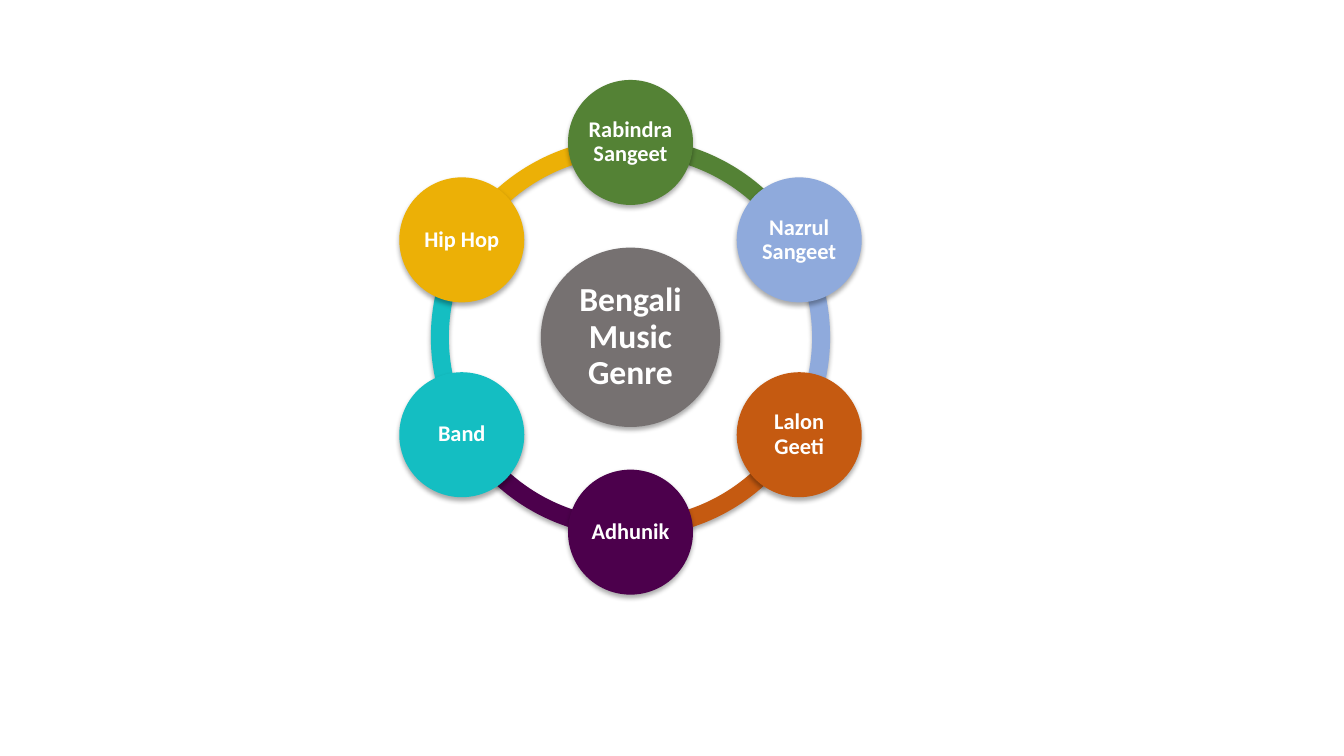
import math
from dataclasses import dataclass

import lxml.etree
import pptx
import pptx.dml.color
import pptx.enum.shapes
import pptx.enum.text
import pptx.oxml
import pptx.oxml.ns
import pptx.util
from pptx.util import Cm

RGBColor = pptx.dml.color.RGBColor
MSO_SHAPE = pptx.enum.shapes.MSO_SHAPE

WHITE = RGBColor(0xFF, 0xFF, 0xFF)
GRAY = RGBColor(0x76, 0x71, 0x71)
GREEN = RGBColor(0x54, 0x82, 0x35)
BLUE = RGBColor(0x8F, 0xAA, 0xDC)
ORANGE = RGBColor(0xC5, 0x5A, 0x11)
PURPLE = RGBColor(0x4C, 0x00, 0x4C)
TEAL = RGBColor(0x14, 0xBE, 0xC2)
YELLOW = RGBColor(0xEC, 0xB0, 0x06)

# Lengths in centimetres
CENTER_X, CENTER_Y = 15.89, 8.5
ORBIT = 4.91
RING_SIZE = 10.06
HUB_SIZE = 4.52
NODE_SIZE = 3.15

SHADOW = (
    f'<a:outerShdw {pptx.oxml.ns.nsdecls("a")} blurRad="44450" dist="27940" '
    'dir="5400000" algn="ctr" rotWithShape="0">'
    '<a:srgbClr val="000000"><a:alpha val="32000"/></a:srgbClr></a:outerShdw>'
)


@dataclass
class Genre:
    name: str
    color: RGBColor


GENRES = [  # clockwise from the top
    Genre("Rabindra Sangeet", GREEN),
    Genre("Nazrul Sangeet", BLUE),
    Genre("Lalon Geeti", ORANGE),
    Genre("Adhunik", PURPLE),
    Genre("Band", TEAL),
    Genre("Hip Hop", YELLOW),
]
STEP = 360 / len(GENRES)


def add_round(slide, kind, x: float, y: float, size: float, color: RGBColor):
    """Add a shadowed square-framed shape centred on x, y."""
    sp = slide.shapes.add_shape(
        kind, Cm(x - size / 2), Cm(y - size / 2), Cm(size), Cm(size))
    sp.fill.solid()
    sp.fill.fore_color.rgb = color
    sp.line.fill.background()
    sp.shadow.inherit = False
    effects = sp._element.spPr.find(pptx.oxml.ns.qn("a:effectLst"))
    effects.append(lxml.etree.fromstring(SHADOW))
    return sp


def add_arc(slide, start: float, color: RGBColor) -> None:
    """Add one ring segment; angles run clockwise from the right."""
    sp = add_round(slide, MSO_SHAPE.BLOCK_ARC, CENTER_X, CENTER_Y, RING_SIZE, color)
    # Adjustment angles are 60000ths of a degree, scaled by 100000
    sp.adjustments[0] = start % 360 * 0.6
    sp.adjustments[1] = (start + STEP) % 360 * 0.6
    sp.adjustments[2] = 0.045


def add_circle(slide, x: float, y: float, size: float, color: RGBColor,
               text: str, pt: int, inset: float) -> None:
    """Add a circle with a centred bold label."""
    sp = add_round(slide, MSO_SHAPE.OVAL, x, y, size, color)
    tf = sp.text_frame
    frame_format = {
        "word_wrap": True,
        "vertical_anchor": pptx.enum.text.MSO_ANCHOR.MIDDLE,
        **{f"margin_{side}": Cm(inset) for side in ("left", "top", "right", "bottom")},
    }
    p = tf.paragraphs[0]
    r = p.add_run()
    r.text = text
    r.font.color.rgb = WHITE
    formats = [
        (tf, frame_format),
        (p, {"alignment": pptx.enum.text.PP_ALIGN.CENTER, "line_spacing": 0.9}),
        (r.font, {"name": "Calibri", "size": pptx.util.Pt(pt), "bold": True}),
    ]
    for target, values in formats:
        for name, value in values.items():
            setattr(target, name, value)


prs = pptx.Presentation()
prs.slide_width, prs.slide_height = Cm(33.87), Cm(19.05)
slide = prs.slides.add_slide(prs.slide_layouts[6])

# Ring segments, each starting at its genre's circle
for i, genre in reversed(list(enumerate(GENRES))):
    add_arc(slide, i * STEP - 90, genre.color)

# Hub
add_circle(slide, CENTER_X, CENTER_Y, HUB_SIZE, GRAY, "Bengali Music Genre", 24, 0.08)

# Genre circles on the ring
for i, genre in enumerate(GENRES):
    angle = math.radians(i * STEP - 90)
    add_circle(slide, CENTER_X + ORBIT * math.cos(angle),
               CENTER_Y + ORBIT * math.sin(angle),
               NODE_SIZE, genre.color, genre.name, 16, 0.04)

prs.save("out.pptx")
